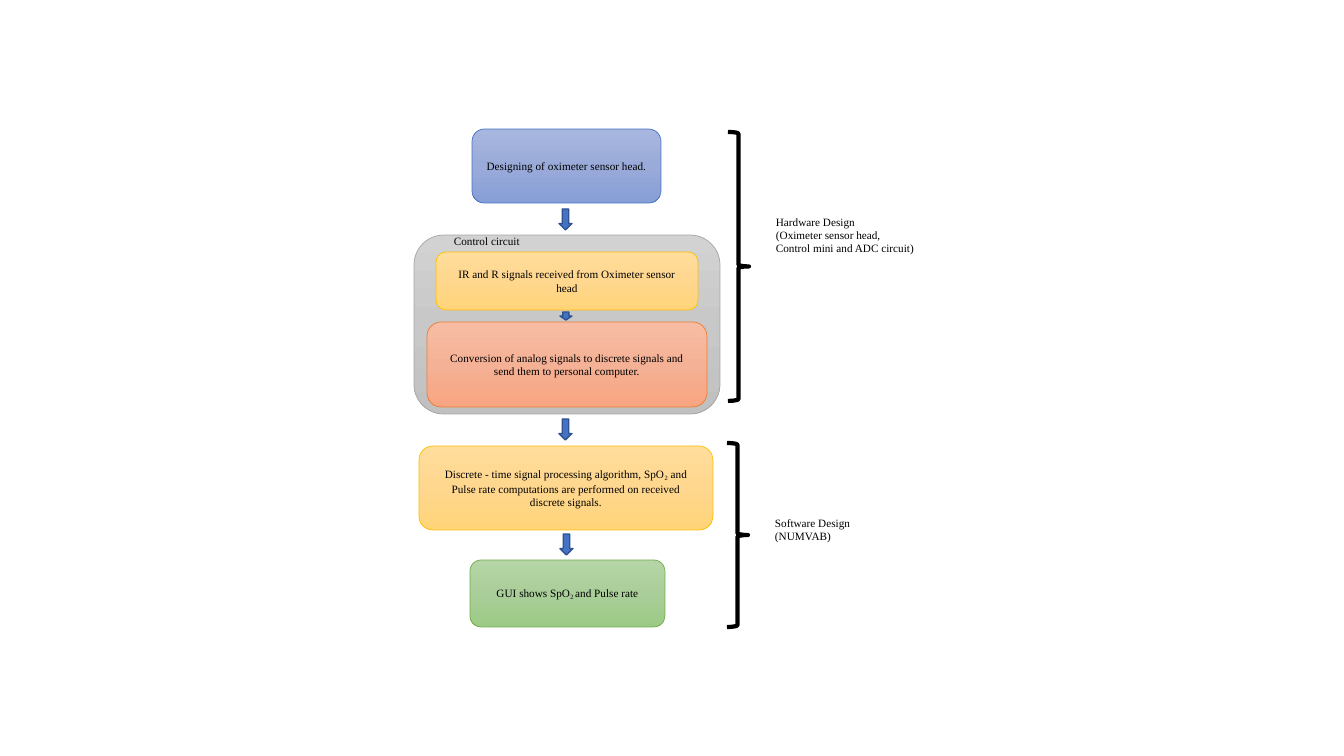
"""Build the oximeter design flowchart slide."""
from copy import deepcopy

from pptx import Presentation
from pptx.dml.color import RGBColor
from pptx.enum.shapes import MSO_SHAPE
from pptx.enum.text import MSO_ANCHOR, PP_ALIGN
from pptx.oxml.ns import qn
from pptx.util import Emu, Pt

SLIDE_SIZE = (1344, 756)
FONT, FONT_SIZE = "Times New Roman", 8
BLACK, ARROW_FILL, ARROW_LINE = "000000", "4472C4", "2F528F"

GRADIENTS = {
    "gold": (("FFDD9C", "FFD78E", "FFD479"), "FFC000"),
    "blue": (("A8B7DF", "9AABD9", "879ED7"), "4472C4"),
    "green": (("B5D5A7", "AACE99", "9CCA86"), "70AD47"),
    "gray": (("D2D2D2", "C8C8C8", "C0C0C0"), "A5A5A5"),
    "orange": (("F7BDA4", "F5B195", "F8A581"), "ED7D31"),
}

STEPS = [
    ((419, 446, 294, 84), "gold",
     ["Discrete - time signal processing algorithm, SpO", "2",
      " and Pulse rate computations are performed on received discrete signals."]),
    ((472, 129, 189, 74), "blue", ["Designing of oximeter sensor head."]),
    ((470, 560, 195, 67), "green", ["GUI shows SpO", "2 ", "and Pulse rate"]),
    ((414, 235, 306, 179), "gray", []),
    ((436, 252, 262, 58), "gold", ["IR and R signals received from Oximeter sensor head"]),
    ((427, 322, 280, 85), "orange",
     ["Conversion of analog signals to discrete signals and send them to personal computer."]),
]
ARROWS = [(559, 209, 13, 21), (559, 419, 13, 21), (560, 534, 13, 21), (560, 312, 12, 8)]
BRACES = [(728, 132, 21, 269), (727, 443, 21, 184)]
LABELS = [
    ((766, 210, 163, 150),
     ["Hardware Design", "(Oximeter sensor head,\vControl mini and ADC circuit)"]),
    ((765, 511, 151, 91), ["Software Design\v(NUMVAB)"]),
    ((444, 229, 156, 43), ["Control circuit"]),
]


def px(length):
    """Turn slide pixels into EMU."""
    return Emu(round(length * 9144000 / 1008))


def color(value):
    """Turn a hex string into a colour."""
    return RGBColor.from_string(value)


def style_font(paragraph):
    """Apply the common font to a paragraph."""
    paragraph.font.name = FONT
    paragraph.font.size = Pt(FONT_SIZE)
    paragraph.font.color.rgb = color(BLACK)


def add_outlined(page, kind, place, line, width):
    """Add a preset shape with an outline and no shadow."""
    shape = page.shapes.add_shape(kind, *map(px, place))
    shape.shadow.inherit = False
    shape.line.color.rgb = color(line)
    shape.line.width = Pt(width)
    return shape


def fill_gradient(shape, shades):
    """Fill a shape from top to bottom with three shades."""
    shape.fill.gradient()
    shape.fill.gradient_angle = 270
    stop_list = shape.element.find(".//" + qn("a:gsLst"))
    stop_list.insert(1, deepcopy(stop_list[0]))
    for index, (stop, shade) in enumerate(zip(shape.fill.gradient_stops, shades)):
        stop.position = index / 2
        stop.color.rgb = color(shade)


def add_step(page, place, palette, pieces):
    """Add a rounded step; every second text piece is a subscript."""
    shades, line = GRADIENTS[palette]
    box = add_outlined(page, MSO_SHAPE.ROUNDED_RECTANGLE, place, line, 0.5)
    fill_gradient(box, shades)
    if not pieces:
        return
    box.text_frame.word_wrap = True
    box.text_frame.vertical_anchor = MSO_ANCHOR.MIDDLE
    para = box.text_frame.paragraphs[0]
    para.alignment = PP_ALIGN.CENTER
    style_font(para)
    for index, piece in enumerate(pieces):
        span = para.add_run()
        span.text = piece
        if index % 2:
            span.font.size = Pt(FONT_SIZE)
            span._r.get_or_add_rPr().set("baseline", "-25000")


def add_label(page, place, lines):
    """Add a plain text label."""
    box = page.shapes.add_textbox(*map(px, place))
    frame = box.text_frame
    frame.word_wrap = True
    frame.text = "\n".join(lines)
    for para in frame.paragraphs:
        style_font(para)


def main():
    """Build and save the deck."""
    deck = Presentation()
    deck.slide_width, deck.slide_height = map(px, SLIDE_SIZE)
    page = deck.slides.add_slide(deck.slide_layouts[6])
    for step in STEPS:
        add_step(page, *step)
    for place in ARROWS:
        arrow = add_outlined(page, MSO_SHAPE.DOWN_ARROW, place, ARROW_LINE, 1)
        arrow.fill.solid()
        arrow.fill.fore_color.rgb = color(ARROW_FILL)
    for place in BRACES:
        brace = add_outlined(page, MSO_SHAPE.RIGHT_BRACE, place, BLACK, 3)
        brace.fill.background()
    for label in LABELS:
        add_label(page, *label)
    deck.save("out.pptx")


if __name__ == "__main__":
    main()
